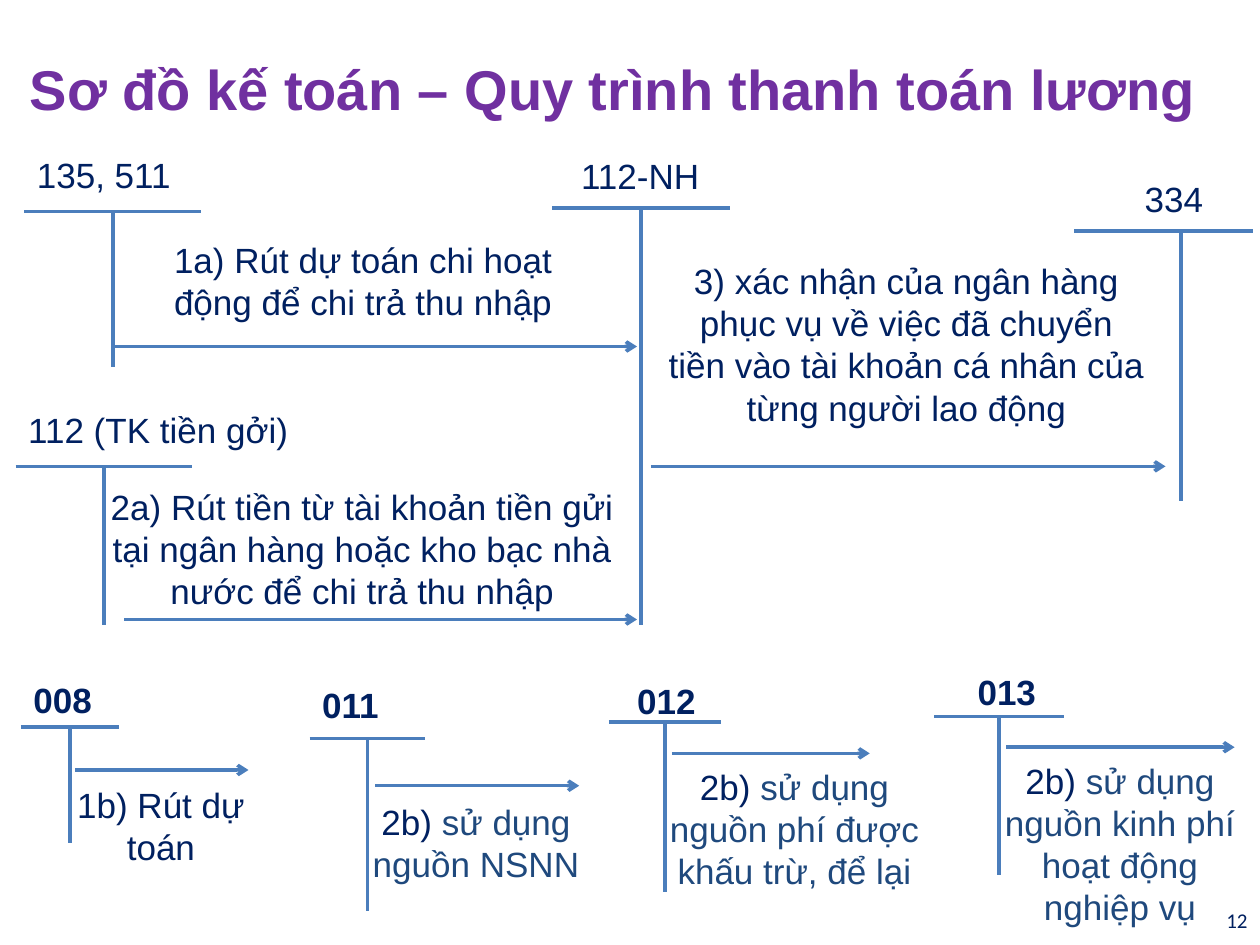
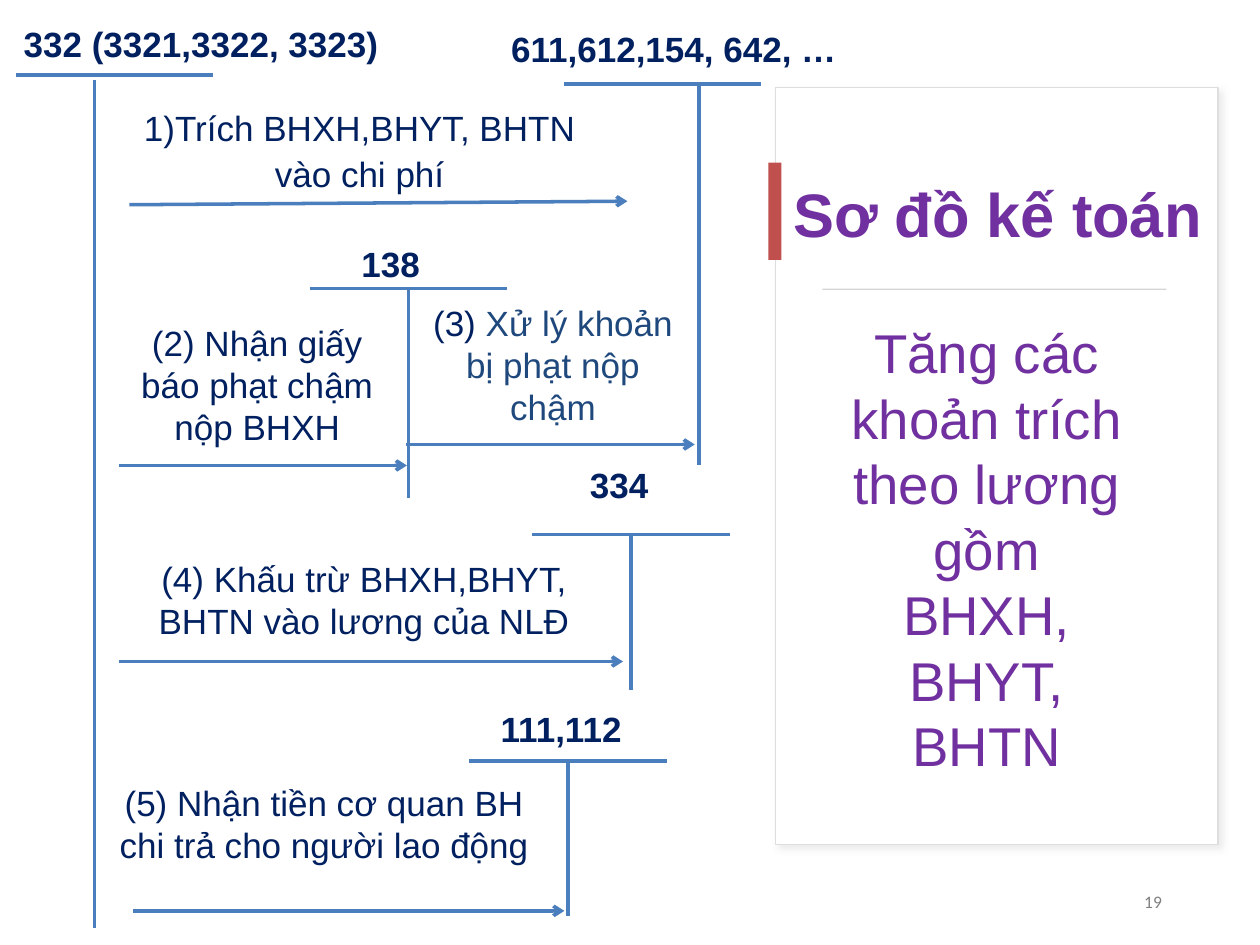
from dataclasses import dataclass
from lxml.etree import SubElement
from pptx import Presentation
from pptx.dml.color import RGBColor
from pptx.enum.shapes import MSO_CONNECTOR, MSO_SHAPE
from pptx.enum.text import MSO_ANCHOR, MSO_AUTO_SIZE, PP_ALIGN
from pptx.oxml.ns import qn
from pptx.util import Pt

NAVY = RGBColor(0x00, 0x20, 0x60)
STEEL = RGBColor(0x1F, 0x49, 0x7D)
BLUE = RGBColor(0x4B, 0x7E, 0xBC)
PURPLE = RGBColor(0x70, 0x30, 0xA0)
RED = RGBColor(0xC0, 0x50, 0x4D)
GREY = RGBColor(0x80, 0x80, 0x80)
RULE_GREY = RGBColor(0xD5, 0xD5, 0xD5)
EDGE_GREY = RGBColor(0xDE, 0xDE, 0xDE)
WHITE = RGBColor(0xFF, 0xFF, 0xFF)

LABEL_HEIGHT = 32
NORMAL = {"name": "Arial", "size": Pt(20), "bold": False}
STRONG = NORMAL | {"bold": True}
TITLE = {"name": "Arial", "size": Pt(32), "bold": True}


@dataclass
class Account:
    """A T-account: its name, the bar under it and the stem below the bar."""
    name: str
    label: tuple  # left, top, width
    bar: tuple  # left, right, y
    bottom: float
    stem: float = None  # middle of the bar unless given
    gap: float = 0  # between bar and stem
    strong: bool = True


@dataclass
class Entry:
    """A posting: its text runs, the text box and the arrow."""
    runs: list
    box: tuple  # left, top, width, height
    arrow: tuple  # from x, from y, to x, to y
    spacing: float = 1.0


# Content: salary payment
SALARY_TITLE = "Sơ đồ kế toán – Quy trình thanh toán lương"
SALARY_ACCOUNTS = [
    Account("135, 511", (14, 84, 139), (14, 115, 121), 210, strong=False),
    Account("112-NH", (325, 85, 149), (315.5, 417, 119), 357, strong=False),
    Account("334", (647, 98, 59), (614, 716, 132), 286.5, stem=675, strong=False),
    Account("112 (TK tiền gởi)", (9, 230, 195), (9, 110, 266.5), 357, strong=False),
    Account("008", (12, 384, 60), (12, 68, 415.5), 482),
    Account("011", (177, 387, 71), (177, 243, 422), 520.5),
    Account("012", (357, 384.5, 69), (348, 412, 412.5), 510),
    Account("013", (551.5, 379.5, 79), (534, 608, 409.5), 500),
]
SALARY_ENTRIES = [
    Entry([("1a) Rút dự toán chi hoạt động để chi trả thu nhập", NAVY)],
          (68, 133, 279, 55), (66, 198, 364, 198)),
    Entry([("2a) Rút tiền từ tài khoản tiền gửi tại ngân hàng hoặc kho bạc "
            "nhà nước để chi trả thu nhập", NAVY)],
          (56, 274, 302, 80), (71, 354, 364, 354)),
    Entry([("3) xác nhận của ngân hàng phục vụ về việc đã chuyển tiền vào "
            "tài khoản cá nhân của từng người lao động", NAVY)],
          (374, 145, 288, 104), (372, 266.5, 666, 266.5)),
    Entry([("1b) Rút dự toán", NAVY)],
          (35, 444, 114, 55), (43, 440, 142, 440)),
    Entry([("2b) ", NAVY), ("sử dụng nguồn NSNN", STEEL)],
          (204.5, 454, 135, 56), (214.5, 449, 331, 449)),
    Entry([("2b) ", NAVY), ("sử dụng nguồn phí được khấu trừ, để lại", STEEL)],
          (374.5, 434, 159, 80), (384, 430.5, 497, 430.5)),
    Entry([("2b) ", NAVY), ("sử dụng nguồn kinh phí hoạt động nghiệp vụ", STEEL)],
          (564.5, 430.5, 151, 99), (575, 427, 705.5, 427)),
]

# Content: deductions based on salary
DEDUCTION_TITLE = "Sơ đồ kế toán"
DEDUCTION_SUMMARY = "Tăng các khoản trích theo lương gồm BHXH, BHYT, BHTN"
DEDUCTION_ACCOUNTS = [
    Account("332 (3321,3322, 3323)", (6.5, 9.5, 230), (9, 122, 43), 530.5, stem=54, gap=3),
    Account("611,612,154, 642, …", (285, 12, 223), (322.5, 435, 48), 265.5, stem=399.5),
    Account("138", (199.5, 135, 53), (177, 290, 165), 284.5),
    Account("334", (330, 261.5, 53), (304, 417, 305.5), 394.5),
    Account("111,112", (279, 400.5, 93), (268, 381, 435), 523.5),
]
DEDUCTION_ENTRIES = [
    Entry([("1)Trích BHXH,BHYT, BHTN vào chi phí", NAVY)],
          (63, 55, 285, 57), (74, 117, 358.5, 115), spacing=1.1),
    Entry([("(2) Nhận giấy báo phạt chậm nộp BHXH", NAVY)],
          (62, 180, 170, 78), (68, 266, 232.5, 266)),
    Entry([("(3) ", NAVY), ("Xử lý khoản bị phạt nộp chậm", STEEL)],
          (235, 169, 162, 78), (232, 254, 397, 254)),
    Entry([("(4) Khấu trừ BHXH,BHYT, BHTN vào lương của NLĐ", NAVY)],
          (63, 315, 290, 55), (68, 378, 356, 378)),
    Entry([("(5) Nhận tiền cơ quan BH chi trả cho người lao động", NAVY)],
          (56, 443, 258.5, 55), (76, 520.5, 322.5, 520.5)),
]


def write(box, runs, style, align=PP_ALIGN.LEFT, anchor=MSO_ANCHOR.TOP, spacing=1.0):
    frame = box.text_frame
    frame.word_wrap = True
    frame.auto_size = MSO_AUTO_SIZE.NONE
    frame.vertical_anchor = anchor
    para = frame.paragraphs[0]
    for key, value in {"alignment": align, "line_spacing": spacing,
                       "space_before": Pt(0)}.items():
        setattr(para, key, value)
    for text, color in runs:
        span = para.add_run()
        span.text = text
        for key, value in style.items():
            setattr(span.font, key, value)
        span.font.color.rgb = color


def add_text(page, place, *args, **options):
    write(page.shapes.add_textbox(*map(Pt, place)), *args, **options)


def fill_placeholder(page, holder, place, text, style):
    """Move and fill a placeholder, and bring it to the front."""
    for key, value in zip(("left", "top", "width", "height"), place):
        setattr(holder, key, Pt(value))
    write(holder, [(text, PURPLE)], style, PP_ALIGN.CENTER, MSO_ANCHOR.BOTTOM)
    page.shapes._spTree.append(holder._element)


def add_line(page, ends, arrow=False):
    line = page.shapes.add_connector(MSO_CONNECTOR.STRAIGHT, *map(Pt, ends))
    line.line.color.rgb = BLUE
    line.line.width = Pt(2)
    if arrow:
        SubElement(line.line._get_or_add_ln(), qn("a:tailEnd"), type="arrow")
    SubElement(line._element.spPr, qn("a:effectLst"))


def add_block(page, place, fill, edge=None):
    block = page.shapes.add_shape(MSO_SHAPE.RECTANGLE, *map(Pt, place))
    block.shadow.inherit = False
    block.fill.solid()
    block.fill.fore_color.rgb = fill
    if edge:
        block.line.color.rgb = edge
        block.line.width = Pt(0.75)
    else:
        block.line.fill.background()
    return block


def add_soft_shadow(block):
    effects = block._element.spPr.find(qn("a:effectLst"))
    shadow = SubElement(effects, qn("a:outerShdw"), blurRad=str(Pt(4)),
                        dist=str(Pt(3)), dir=str(45 * 60000), rotWithShape="0")
    color = SubElement(shadow, qn("a:srgbClr"), val="D9D9D9")
    SubElement(color, qn("a:alpha"), val="50000")


def draw_diagram(page, accounts, entries):
    for account in accounts:
        left, right, y = account.bar
        stem = account.stem or (left + right) / 2
        add_line(page, (left, y, right, y))
        add_line(page, (stem, y + account.gap, stem, account.bottom))
        add_text(page, (*account.label, LABEL_HEIGHT), [(account.name, NAVY)],
                 STRONG if account.strong else NORMAL)
    for entry in entries:
        add_line(page, entry.arrow, arrow=True)
        add_text(page, entry.box, entry.runs, NORMAL, PP_ALIGN.CENTER,
                 spacing=entry.spacing)


def add_page_number(page, left, top, number, size, color):
    add_text(page, (left, top, 162, 29), [(number, color)],
             {"name": "Calibri", "size": Pt(size)}, PP_ALIGN.RIGHT, MSO_ANCHOR.MIDDLE)


def build_salary(deck):
    page = deck.slides.add_slide(deck.slide_layouts[5])
    fill_placeholder(page, page.shapes.title, (8.5, 8, 684, 65), SALARY_TITLE, TITLE)
    draw_diagram(page, SALARY_ACCOUNTS, SALARY_ENTRIES)
    add_page_number(page, 558, 511, "12", 12, NAVY)


def build_deductions(deck):
    page = deck.slides.add_slide(deck.slide_layouts[1])
    # Side panel with accent bar and thin rule
    add_soft_shadow(add_block(page, (443, 50, 253, 432.5), WHITE, EDGE_GREY))
    add_block(page, (439, 93, 7.5, 55.5), RED)
    add_block(page, (470, 165, 196.5, 0.75), RULE_GREY)
    # Title and summary inside the panel
    fill_placeholder(page, page.shapes.title, (444, 86.5, 252, 60), DEDUCTION_TITLE,
                     TITLE | {"size": Pt(35.1)})
    summary = page.placeholders[1]
    properties = summary.text_frame.paragraphs[0]._p.get_or_add_pPr()
    properties.set("marL", "0")
    properties.set("indent", "0")
    SubElement(properties, qn("a:buNone"))
    summary.text_frame.margin_left = summary.text_frame.margin_right = Pt(4)
    fill_placeholder(page, summary, (479.5, 164, 168.5, 284), DEDUCTION_SUMMARY,
                     NORMAL | {"size": Pt(31.2)})
    draw_diagram(page, DEDUCTION_ACCOUNTS, DEDUCTION_ENTRIES)
    add_page_number(page, 509, 500.5, "19", 10, GREY)


def main():
    deck = Presentation()
    deck.slide_width, deck.slide_height = Pt(720), Pt(540)
    build_salary(deck)
    build_deductions(deck)
    deck.save("out.pptx")


if __name__ == "__main__":
    main()
